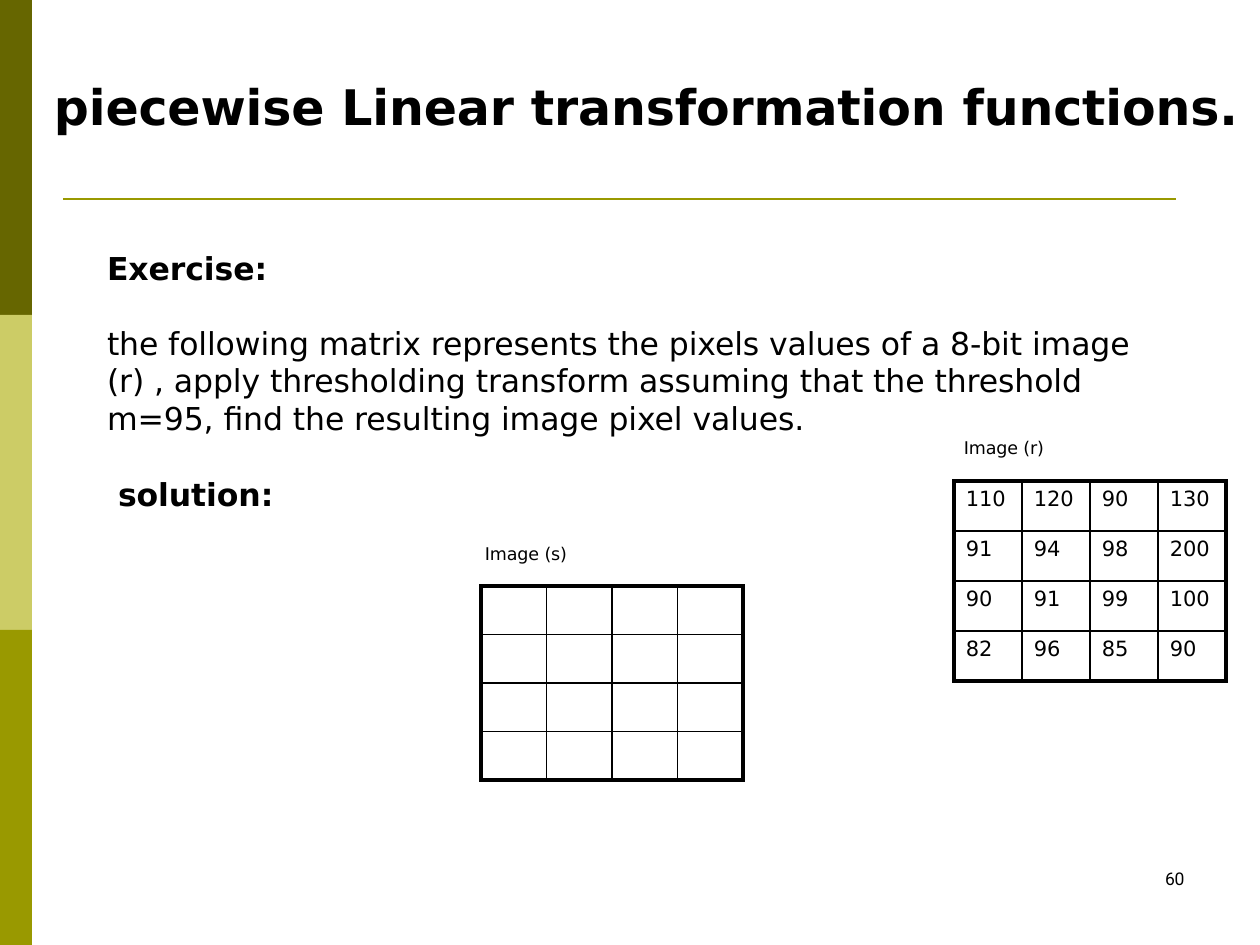
from dataclasses import dataclass
from typing import NamedTuple

from lxml.etree import SubElement
from pptx import Presentation
from pptx.dml.color import RGBColor
from pptx.enum.shapes import MSO_CONNECTOR, MSO_SHAPE
from pptx.enum.text import PP_ALIGN
from pptx.oxml.ns import qn
from pptx.util import Emu, Pt

COLORS = {
    "text": "000000",
    "border": "000000",
    "dark olive": "666600",
    "light olive": "CCCC66",
    "olive": "999900",
}
BODY_FONT = "DejaVu Sans"
NUMBER_FONT = "Roboto"
TIGHT = -5  # letter spacing, hundredths of a point


def px(length: int) -> Emu:
    return Emu(round(length * 914400 / 126))


def color(name: str) -> RGBColor:
    return RGBColor.from_string(COLORS[name])


class Area(NamedTuple):
    left: int
    top: int
    width: int
    height: int

    def emu(self) -> list[Emu]:
        return [px(length) for length in self]


@dataclass
class Line:
    text: str
    size: int
    bold: bool = False
    before: float = 0
    indent: int = 1
    right_indent: int = 0
    align: PP_ALIGN = PP_ALIGN.LEFT
    font: str = BODY_FONT


@dataclass
class TextBlock:
    area: Area
    lines: list[Line]
    wrap: bool = True


@dataclass
class Matrix:
    area: Area
    values: list[list[str]]


def write_line(para, line: Line) -> None:
    properties = para._p.get_or_add_pPr()
    properties.set("marL", str(px(line.indent)))
    properties.set("marR", str(px(line.right_indent)))
    properties.set("indent", "0")
    para.alignment = line.align
    if line.before:
        para.space_before = Pt(line.before)
    span = para.add_run()
    span.text = line.text
    span.font.name = line.font
    span.font.size = Pt(line.size)
    span.font.bold = line.bold
    span.font.color.rgb = color("text")
    span._r.get_or_add_rPr().set("spc", str(TIGHT))


def draw_text(page, block: TextBlock) -> None:
    frame = page.shapes.add_textbox(*block.area.emu()).text_frame
    frame.word_wrap = block.wrap
    frame.margin_left = frame.margin_right = frame.margin_bottom = 0
    frame.margin_top = px(1)
    for index, line in enumerate(block.lines):
        para = frame.add_paragraph() if index else frame.paragraphs[0]
        write_line(para, line)


def draw_bar(page, area: Area, fill: str) -> None:
    bar = page.shapes.add_shape(MSO_SHAPE.RECTANGLE, *area.emu())
    bar.shadow.inherit = False
    bar.fill.solid()
    bar.fill.fore_color.rgb = color(fill)
    bar.line.fill.background()


def draw_rule(page, left: int, right: int, y: int) -> None:
    rule = page.shapes.add_connector(
        MSO_CONNECTOR.STRAIGHT, px(left), px(y), px(right), px(y))
    rule.line.color.rgb = color("olive")
    rule.line.width = Pt(1.5)
    SubElement(rule._element.spPr, qn("a:effectLst"))


def set_border(cell, side: str, outer: bool) -> None:
    edge = SubElement(cell._tc.get_or_add_tcPr(), qn(f"a:ln{side}"),
                      w=str(Pt(2.25 if outer else 1)))
    fill = SubElement(edge, qn("a:solidFill"))
    SubElement(fill, qn("a:srgbClr"), val=COLORS["border"])


def draw_matrix(page, matrix: Matrix) -> None:
    rows, columns = len(matrix.values), len(matrix.values[0])
    area = matrix.area
    table = page.shapes.add_table(rows, columns, *area.emu()).table
    table.first_row = table.horz_banding = False
    for column in table.columns:
        column.width = px(area.width) // columns
    for row in table.rows:
        row.height = px(area.height) // rows
    for r, values in enumerate(matrix.values):
        for c, value in enumerate(values):
            cell = table.cell(r, c)
            cell.margin_left = cell.margin_right = cell.margin_bottom = 0
            cell.margin_top = px(6)
            outer = {"L": c == 0, "R": c == columns - 1,
                     "T": r == 0, "B": r == rows - 1}
            for side, is_outer in outer.items():
                set_border(cell, side, is_outer)
            cell.fill.background()
            para = cell.text_frame.paragraphs[0]
            if value:
                write_line(para, Line(value, 12, indent=12))
            else:
                para.font.size = Pt(12)


BAR_FILLS = ["dark olive", "light olive", "olive"]
BAR_WIDTH, BAR_HEIGHT = 32, 315

TITLE = TextBlock(Area(53, 75, 1187, 120), [
    Line("piecewise Linear transformation functions.", 28, bold=True),
])
EXERCISE = TextBlock(Area(106, 248, 1042, 268), [
    Line("Exercise:", 18, bold=True),
    Line("the following matrix represents the pixels values of a 8-bit image",
         18, before=21),
    Line("(r) , apply thresholding transform assuming that the threshold "
         "m=95, find the resulting image pixel values.", 18),
    Line("Image (r)", 10, right_indent=104, align=PP_ALIGN.RIGHT),
    Line("solution:", 18, bold=True, before=9.5, indent=12),
])
RESULT_LABEL = TextBlock(Area(484, 542, 91, 24), [Line("Image (s)", 10)],
                         wrap=False)
PAGE_NUMBER = TextBlock(Area(1160, 867, 30, 23),
                        [Line("60", 10, indent=5, font=NUMBER_FONT)],
                        wrap=False)

SOURCE_MATRIX = Matrix(Area(954, 481, 272, 200), [
    ["110", "120", "90", "130"],
    ["91", "94", "98", "200"],
    ["90", "91", "99", "100"],
    ["82", "96", "85", "90"],
])
RESULT_MATRIX = Matrix(Area(481, 586, 262, 194), [[""] * 4] * 4)


def main() -> None:
    deck = Presentation()
    deck.slide_width, deck.slide_height = px(1260), px(945)
    page = deck.slides.add_slide(deck.slide_layouts[6])

    # Side bars and title rule
    for index, fill in enumerate(BAR_FILLS):
        draw_bar(page, Area(0, index * BAR_HEIGHT, BAR_WIDTH, BAR_HEIGHT), fill)
    draw_rule(page, 63, 1176, 199)

    # Title, exercise and labels
    for block in (TITLE, EXERCISE, RESULT_LABEL, PAGE_NUMBER):
        draw_text(page, block)

    # Given and resulting pixel values
    for matrix in (SOURCE_MATRIX, RESULT_MATRIX):
        draw_matrix(page, matrix)

    deck.save("out.pptx")


if __name__ == "__main__":
    main()
